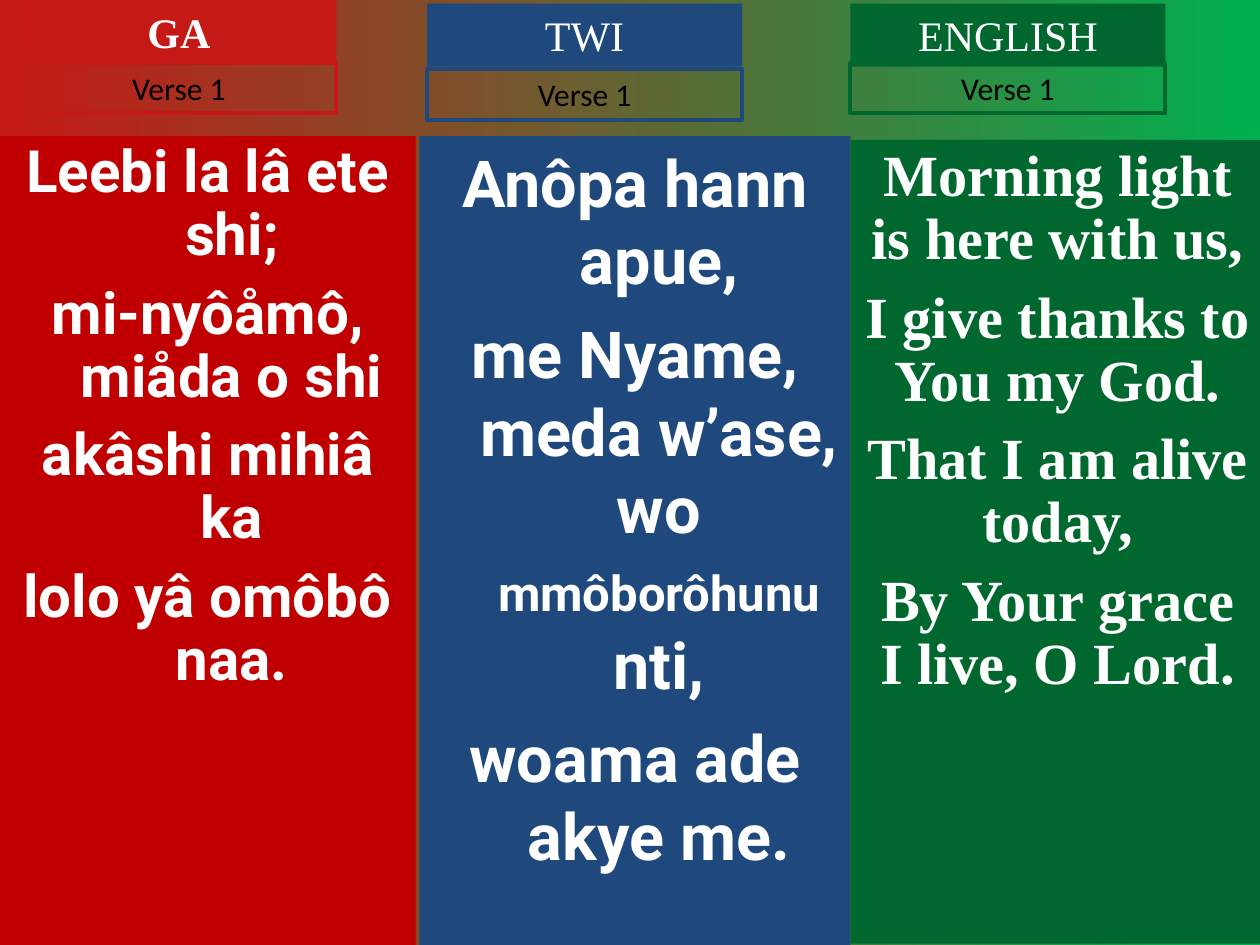
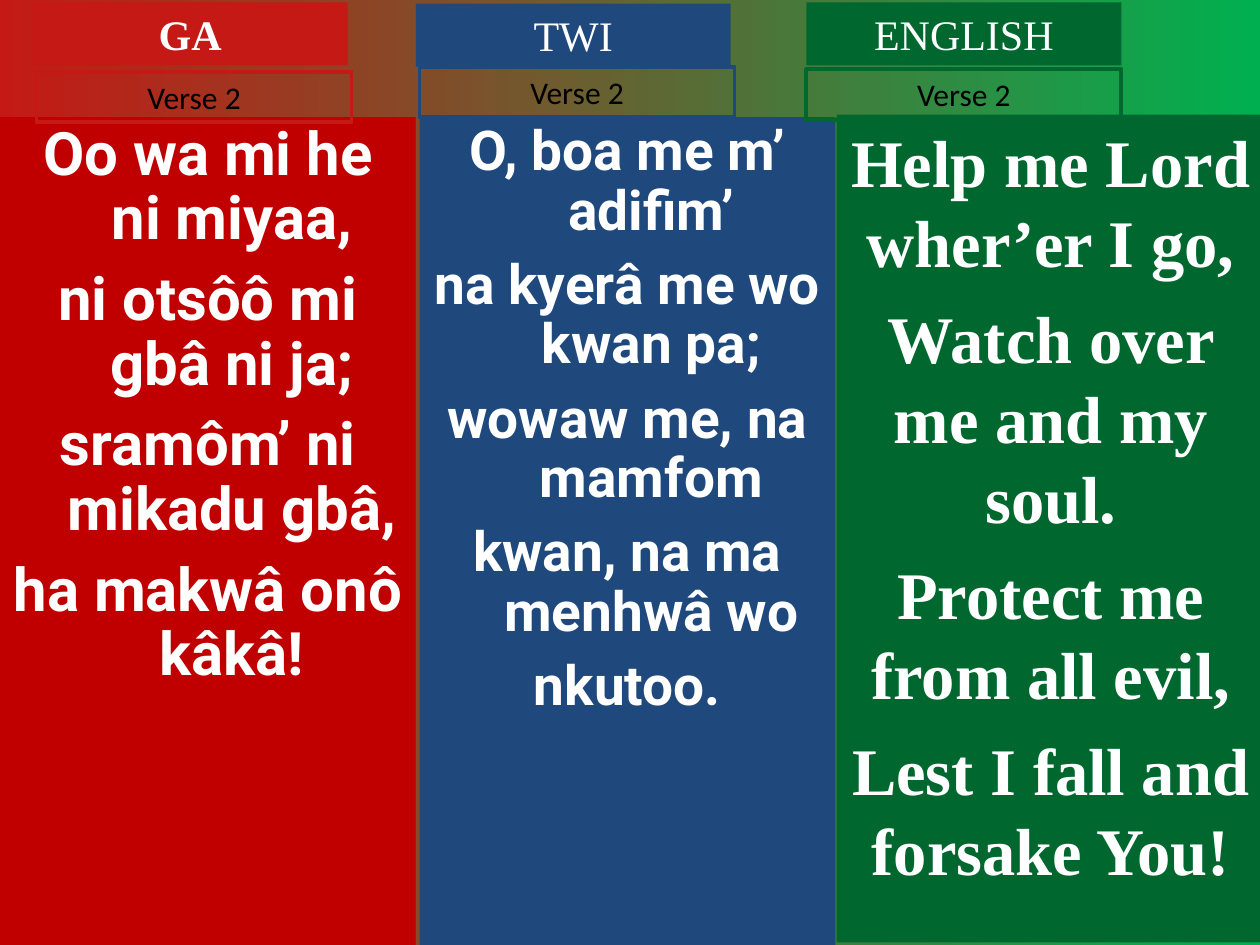
import pptx
import pptx.dml.color
import pptx.enum.shapes
import pptx.enum.text
import pptx.util

COLORS = {
    "ga_label": "C51915",
    "ga_panel": "C00000",
    "twi": "1F497D",
    "english": "00682F",
    "background_end": "00B050",
    "light": "FFFFFF",
    "dark": "000000",
}
SERIF, SANS, BODY = "Times New Roman", "Roboto", "Calibri"
COLUMNS, ROWS = 100, 75
LABEL_WIDTH, LABEL_HEIGHT, VERSE_HEIGHT = 25, 5, 4
HANGING = pptx.util.Inches(0.38)
SMALL_SIZE = 28

LANGUAGES = [
    {"name": "GA", "panel": "ga_panel", "label": "ga_label", "font": SANS, "bold": True},
    {"name": "TWI", "panel": "twi", "label": "twi", "font": SANS, "bold": False},
    {"name": "ENGLISH", "panel": "english", "label": "english", "font": SERIF, "bold": False},
]

VERSES = [
    {
        "title": "Verse 1",
        "columns": [
            {"panel": (0, 10.8, 33, 64.2), "label": (1.7, 0), "verse": (1.7, 5),
             "size": 33.3, "before": 9, "spacing": 0.9,
             "lines": ["Leebi la lâ ete shi;", "mi-nyôåmô, miåda o shi",
                       "akâshi mihiâ ka", "lolo yâ omôbô naa."]},
            {"panel": (33.3, 10.8, 34.2, 64.2), "label": (0.6, 0.3), "verse": (0.6, 5.5),
             "size": 37, "before": 9.2, "spacing": 1.0,
             "lines": ["Anôpa hann apue,",
                       "me Nyame, meda w’ase, wo |mmôborôhunu| nti,",
                       "woama ade akye me."]},
            {"panel": (67.5, 11.1, 32.9, 63.8), "label": (0, 0.3), "verse": (0, 5),
             "size": 33.3, "before": 9, "spacing": 0.9,
             "lines": ["Morning light is here with us,", "I give thanks to You my God.",
                       "That I am alive today,", "By Your grace I live, O Lord."]},
        ],
    },
    {
        "title": "Verse 2",
        "columns": [
            {"panel": (0, 9.3, 33, 65.7), "label": (2.6, 0.2), "verse": (2.9, 5.7),
             "size": 34.2, "before": 9.2, "spacing": 0.9,
             "lines": ["Oo wa mi he ni miyaa,", "ni otsôô mi gbâ ni ja;",
                       "sramôm’ ni mikadu gbâ,", "ha makwâ onô kâkâ!"]},
            {"panel": (33.3, 9.3, 33, 65.7), "label": (-0.3, 0.3), "verse": (0, 5.3),
             "size": 31.4, "before": 8.5, "spacing": 0.9,
             "lines": ["O, boa me m’ adifim’", "na kyerâ me wo kwan pa;",
                       "wowaw me, na mamfom", "kwan, na ma menhwâ wo", "nkutoo."]},
            {"panel": (66.4, 9.1, 34, 65.7), "label": (-2.4, 0.2), "verse": (-2.4, 5.5),
             "size": 38, "before": 9.5, "spacing": 1.0,
             "lines": ["Help me Lord wher’er I go,", "Watch over me and my soul.",
                       "Protect me from all evil,", "Lest I fall and forsake You!"]},
        ],
    },
]


def rgb(name):
    return pptx.dml.color.RGBColor.from_string(COLORS[name])


def add_box(presentation, slide, box, fill=None, line=None):
    column = presentation.slide_width / COLUMNS
    row = presentation.slide_height / ROWS
    left, top, width, height = box
    shape = slide.shapes.add_shape(
        pptx.enum.shapes.MSO_SHAPE.RECTANGLE,
        round(left * column), round(top * row), round(width * column), round(height * row))
    shape.shadow.inherit = False
    if fill:
        shape.fill.solid()
        shape.fill.fore_color.rgb = rgb(fill)
    else:
        shape.fill.background()
    if line:
        shape.line.color.rgb = rgb(line)
        shape.line.width = pptx.util.Pt(2.25)
    else:
        shape.line.fill.background()
    shape.text_frame.word_wrap = True
    shape.text_frame.vertical_anchor = pptx.enum.text.MSO_ANCHOR.TOP
    return shape


def format_run(run, font, size, color, bold):
    run.font.name = font
    run.font.size = pptx.util.Pt(size)
    run.font.color.rgb = rgb(color)
    run.font.bold = bold


def write_label(shape, text, font, size, color, bold=False):
    shape.text_frame.text = text
    paragraph = shape.text_frame.paragraphs[0]
    paragraph.alignment = pptx.enum.text.PP_ALIGN.CENTER
    format_run(paragraph.runs[0], font, size, color, bold)


def write_lyrics(shape, column, font):
    text_frame = shape.text_frame
    for index, line in enumerate(column["lines"]):
        paragraph = text_frame.add_paragraph() if index else text_frame.paragraphs[0]
        paragraph.alignment = pptx.enum.text.PP_ALIGN.CENTER
        paragraph.line_spacing = column["spacing"]
        if index:
            paragraph.space_before = pptx.util.Pt(column["before"])
        if font == SANS:
            properties = paragraph._p.get_or_add_pPr()
            properties.set("marL", str(HANGING))
            properties.set("indent", str(-HANGING))
        for position, part in enumerate(line.split("|")):
            run = paragraph.add_run()
            run.text = part
            size = SMALL_SIZE if position % 2 else column["size"]
            format_run(run, font, size, "light", True)


def add_language_column(presentation, slide, language, column, title):
    left = column["panel"][0]
    panel = add_box(presentation, slide, column["panel"], fill=language["panel"])
    write_lyrics(panel, column, language["font"])

    offset, top = column["label"]
    label = add_box(presentation, slide, (left + offset, top, LABEL_WIDTH, LABEL_HEIGHT),
                    fill=language["label"])
    write_label(label, language["name"], SERIF, 24, "light", language["bold"])

    offset, top = column["verse"]
    verse = add_box(presentation, slide, (left + offset, top, LABEL_WIDTH, VERSE_HEIGHT),
                    line=language["label"])
    write_label(verse, title, BODY, 18, "dark")


def paint_background(slide):
    fill = slide.background.fill
    fill.gradient()
    fill.gradient_angle = 0
    for stop, position, color in zip(fill.gradient_stops, (0, 1), ("ga_label", "background_end")):
        stop.position = position
        stop.color.rgb = rgb(color)


def add_verse_slide(presentation, verse):
    slide = presentation.slides.add_slide(presentation.slide_layouts[6])
    paint_background(slide)
    for language, column in zip(LANGUAGES, verse["columns"]):
        add_language_column(presentation, slide, language, column, verse["title"])


def main():
    presentation = pptx.Presentation()
    presentation.slide_width = pptx.util.Inches(10)
    presentation.slide_height = pptx.util.Inches(7.5)
    for verse in VERSES:
        add_verse_slide(presentation, verse)
    presentation.save("out.pptx")


if __name__ == "__main__":
    main()
